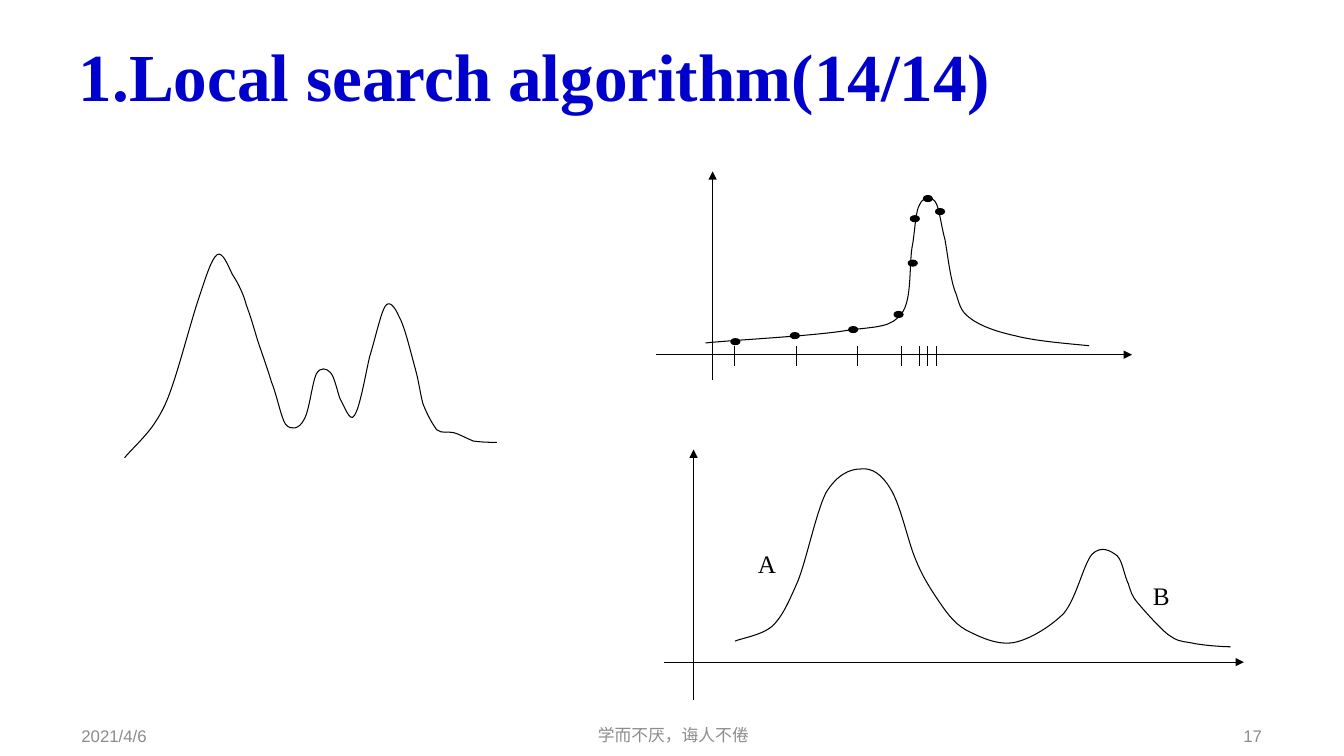
"""Build the slide on local search with three hill-shaped curves."""
from lxml.etree import SubElement
from pptx import Presentation
from pptx.dml.color import RGBColor
from pptx.enum.shapes import MSO_CONNECTOR, MSO_SHAPE
from pptx.enum.text import MSO_ANCHOR, MSO_AUTO_SIZE, PP_ALIGN
from pptx.oxml.ns import qn
from pptx.util import Pt


def write(shape, text, size, font, color, align=PP_ALIGN.LEFT, anchor=MSO_ANCHOR.TOP, bold=False):
    frame = shape.text_frame
    frame.word_wrap = True
    frame.vertical_anchor = anchor
    paragraph = frame.paragraphs[0]
    paragraph.alignment = align
    run = paragraph.add_run()
    run.text = text
    run.font.size = Pt(size)
    run.font.name = font
    run.font.bold = bold
    run.font.color.rgb = RGBColor.from_string(color)
    return paragraph


def draw_line(start_x, start_y, end_x, end_y, arrow=False):
    connector = slide.shapes.add_connector(
        MSO_CONNECTOR.STRAIGHT, Pt(start_x), Pt(start_y), Pt(end_x), Pt(end_y))
    connector.line.color.rgb = RGBColor.from_string("000000")
    connector.line.width = Pt(0.75)
    if arrow:
        SubElement(connector.line._get_or_add_ln(), qn("a:tailEnd"), type="triangle")
    SubElement(connector._element.spPr, qn("a:effectLst"))


presentation = Presentation()
presentation.slide_width = Pt(960)
presentation.slide_height = Pt(540)
slide = presentation.slides.add_slide(presentation.slide_layouts[5])

title = slide.shapes.title
title.left, title.top, title.width, title.height = Pt(49), Pt(20.9), Pt(793.4), Pt(65.5)
heading = write(title, "1.Local search algorithm(14/14)", 48, "Times New Roman", "0000CC", bold=True)
title.text_frame.auto_size = MSO_AUTO_SIZE.SHAPE_TO_FIT_TEXT
heading_properties = heading._p.get_or_add_pPr()
heading_properties.set("marL", str(Pt(58.3)))
heading_properties.set("indent", str(-Pt(58.3)))

footers = [
    ("2021/4/6", 51.1, 511.2, 216, PP_ALIGN.LEFT),
    ("学而不厌，诲人不倦", 319, 510.5, 324, PP_ALIGN.CENTER),
    ("17", 692.6, 511.2, 216, PP_ALIGN.RIGHT),
]
for text, left, top, width, align in footers:
    footer = slide.shapes.add_textbox(Pt(left), Pt(top), Pt(width), Pt(28.8))
    write(footer, text, 12, "Arial", "8C8C8C", align, MSO_ANCHOR.MIDDLE)

three_peaks = [
    (88.6, 326.9), (110.2, 303.1), (123.8, 272.9), (141.8, 213.1), (154.8, 182.2), (166.3, 195.8),
    (176.4, 218.2), (183.6, 242.6), (194.4, 272.9), (204.5, 303.1), (217.4, 299.5), (226.1, 267.1),
    (236.2, 266.4), (243.4, 285.1), (253.4, 296.6), (264.2, 254.9), (275, 218.9), (285.1, 226.1),
    (295.9, 260.6), (302.4, 288), (312.5, 306.7), (324, 308.9), (338.4, 314.6), (355, 316.1),
]
steep_peak = [
    (504, 244.8), (604.8, 236.2), (643.7, 223.9), (651.6, 174.2), (656.6, 146.2), (668.2, 144),
    (674.6, 171.4), (682.6, 210.2), (694.1, 228.2), (726.5, 240.5), (778.3, 247),
]
two_peaks = [
    (524.9, 457.9), (551.5, 447.1), (569.5, 415.4), (590.4, 352.1), (614.9, 334.8), (636.5, 349.2),
    (653, 397.4), (668.9, 427), (690.5, 450), (723.6, 459.4), (759.6, 437.8), (780.5, 396),
    (797.8, 397.4), (805.7, 416.9), (812.9, 431.3), (834.5, 452.9), (850.3, 459.4), (879.1, 462.2),
]
for knots in (three_peaks, steep_peak, two_peaks):
    padded = [knots[0], *knots, knots[-1]]
    vertices = []
    for before, start, end, after in zip(padded, padded[1:], padded[2:], padded[3:]):
        vertices.append([s + (e - b) / 6 for b, s, e in zip(before, start, end)])
        vertices.append([e - (a - s) / 6 for s, e, a in zip(start, end, after)])
        vertices.append(end)
    builder = slide.shapes.build_freeform(*knots[0], scale=Pt(1))
    builder.add_line_segments(vertices, close=False)
    curve = builder.convert_to_shape()
    curve.shadow.inherit = False
    curve.fill.background()
    curve.line.color.rgb = RGBColor.from_string("000000")
    curve.line.width = Pt(0.75)
    path = curve._element.find(".//" + qn("a:path"))
    segments = path.findall(qn("a:lnTo"))
    for index in range(0, len(segments), 3):
        bezier = SubElement(path, qn("a:cubicBezTo"))
        for segment in segments[index:index + 3]:
            bezier.append(segment[0])
            path.remove(segment)

draw_line(468.7, 253.4, 808.6, 253.4, arrow=True)
draw_line(509, 271.4, 509, 122.4, arrow=True)
draw_line(474.5, 473, 888.5, 473, arrow=True)
draw_line(495.4, 499.7, 495.4, 321.1, arrow=True)

for tick_x in (524.9, 568.8, 612.7, 643.7, 656.6, 662.4, 668.9):
    draw_line(tick_x, 247, tick_x, 261.4)

dots = [
    (522, 241.9), (564.5, 237.6), (606.2, 233.3), (638.6, 222.5),
    (648.7, 185.8), (650.2, 154.1), (659.5, 139.7), (668.2, 149),
]
for left, top in dots:
    dot = slide.shapes.add_shape(MSO_SHAPE.OVAL, Pt(left), Pt(top), Pt(6.5), Pt(4.3))
    dot.shadow.inherit = False
    dot.fill.solid()
    dot.fill.fore_color.rgb = RGBColor.from_string("000000")
    dot.line.color.rgb = RGBColor.from_string("000000")
    dot.line.width = Pt(0.75)

for letter, left, top in (("A", 534.2, 388.1), ("B", 816.5, 411.1)):
    label = slide.shapes.add_textbox(Pt(left), Pt(top), Pt(43.9), Pt(41.8))
    write(label, letter, 18, "Times New Roman", "000000")

presentation.save("out.pptx")
